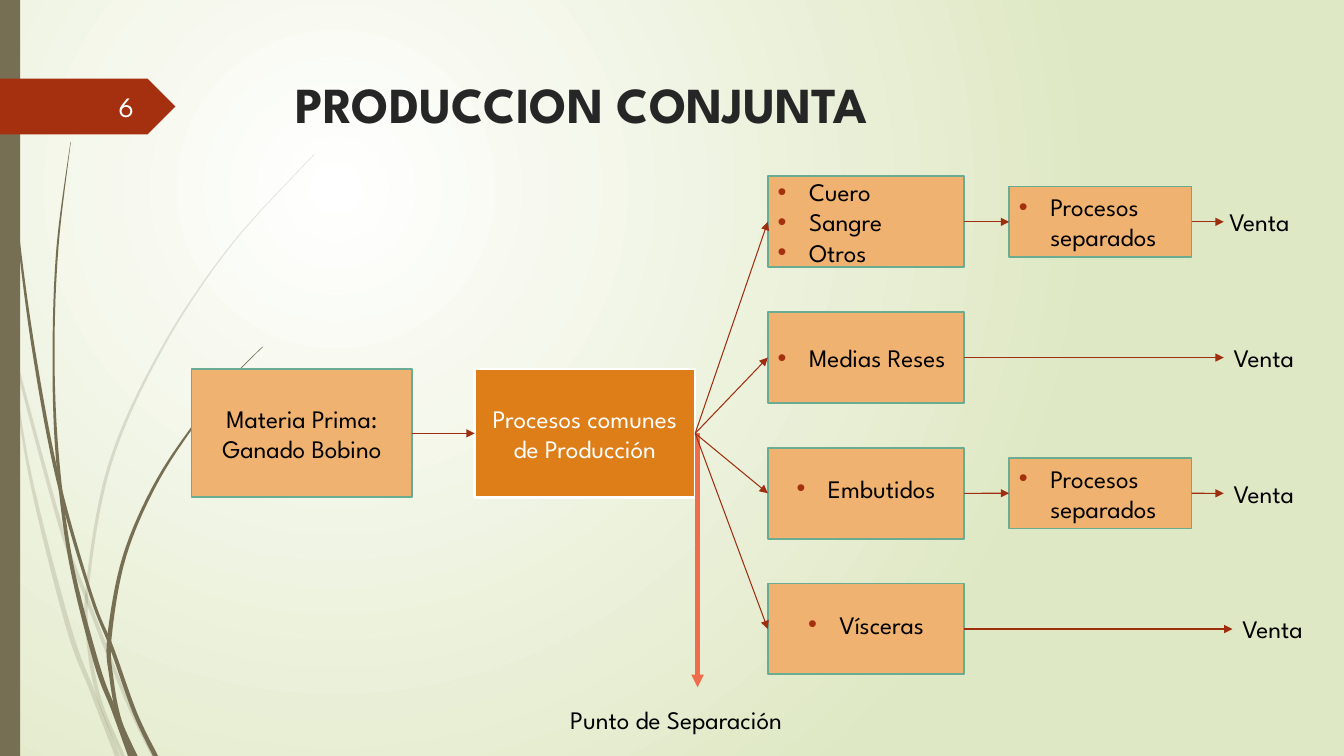
import pptx
import pptx.util
import pptx.dml.color
import pptx.enum.shapes
import pptx.enum.text
import pptx.oxml.ns
from lxml import etree

Cm, Pt = pptx.util.Cm, pptx.util.Pt
qn = pptx.oxml.ns.qn
SHAPE = pptx.enum.shapes.MSO_SHAPE
ALIGN = pptx.enum.text.PP_ALIGN
ANCHOR = pptx.enum.text.MSO_ANCHOR

FONT = "League Spartan"
OLIVE, RUST, ARROW, CORAL = "766F54", "A53010", "9E2E0F", "EE6E4B"
PEACH, ORANGE, TEAL = "F0B270", "DE7E18", "6AAC91"
TOP, LEFT, RIGHT = 0, 1, 3

# Each stem is a list of (x, y, width) in cm, from tip to root.
PALE_STEMS = [
    [(0.02, 7.37, .03), (0.35, 8.9, .07), (1.52, 13.23, .1), (2.18, 15.06, .1),
     (3.18, 17.6, .1), (3.88, 19.05, .13)],
    [(0.28, 8.89, .02), (0.75, 11.94, .08), (1.71, 15.75, .13), (2.35, 17.48, .12),
     (2.96, 19.05, .13)],
    [(7.92, 3.89, .02), (5.79, 6.22, .03), (4.04, 8.86, .06), (2.76, 11.73, .08),
     (2.2, 14.83, .08), (2.26, 16.41, .1), (2.54, 17.73, .1), (3.1, 19.05, .1)],
]
DARK_STEMS = [
    [(0.09, 0, .03), (0.18, 2.79, .03), (0.46, 5.92, .05), (0.88, 9.02, .08),
     (1.47, 12.12, .09), (2.3, 15.01, .08), (2.82, 16.33, .1), (3.4, 17.96, .11),
     (3.92, 19.05, .13)],
    [(1.78, 3.58, .01), (1.45, 6.22, .05), (1.35, 8.86, .05), (1.44, 11.43, .08),
     (1.78, 14.12, .1), (2.43, 16.71, .13), (2.88, 17.91, .13), (3.34, 19.05, .23)],
    [(6.62, 8.74, .02), (5.87, 9.49, .03), (5.19, 10.3, .05), (3.99, 12.07, .08),
     (3.14, 14.01, .09), (2.76, 16.05, .11), (2.81, 17.09, .1), (3.02, 18.16, .1),
     (3.42, 19.05, .1)],
]


def rgb(color):
    return pptx.dml.color.RGBColor.from_string(color)


def paint(sp, fill, line=None, width=1.25):
    sp.shadow.inherit = False
    sp.fill.solid()
    sp.fill.fore_color.rgb = rgb(fill)
    if line:
        sp.line.color.rgb = rgb(line)
        sp.line.width = Pt(width)
    else:
        sp.line.fill.background()


def add_bullet(p):
    pPr = p._p.get_or_add_pPr()
    pPr.set("marL", str(Cm(0.79)))
    pPr.set("indent", str(-Cm(0.79)))
    color = etree.SubElement(pPr, qn("a:buClr"))
    etree.SubElement(color, qn("a:srgbClr"), val=RUST)
    etree.SubElement(pPr, qn("a:buFont"), typeface="Arial")
    etree.SubElement(pPr, qn("a:buChar"), char="•")


def write(sp, lines, size=18, color="000000", bold=False, align=ALIGN.LEFT,
          anchor=ANCHOR.TOP, bullets=False):
    tf = sp.text_frame
    tf.word_wrap = True
    tf.vertical_anchor = anchor
    for i, line in enumerate(lines):
        p = tf.add_paragraph() if i else tf.paragraphs[0]
        p.alignment = align
        if bullets:
            add_bullet(p)
        r = p.add_run()
        r.text = line
        r.font.name, r.font.size, r.font.bold = FONT, Pt(size), bold
        r.font.color.rgb = rgb(color)


def label(s, x, y, w, h, text, **style):
    write(s.shapes.add_textbox(Cm(x), Cm(y), Cm(w), Cm(h)), [text], **style)


def block(s, x, mid, w, h, lines, fill=PEACH, line=TEAL, width=1.25, **style):
    """Rectangle centred vertically on mid."""
    sp = s.shapes.add_shape(SHAPE.RECTANGLE, Cm(x), Cm(mid - h / 2), Cm(w), Cm(h))
    paint(sp, fill, line, width)
    write(sp, lines, anchor=ANCHOR.MIDDLE, **style)
    return sp


def arrow(s, x1, y1, x2, y2, source=None, target=None, color=ARROW, width=0.75):
    """Arrow that joins the right side of source to the left side of target."""
    c = s.shapes.add_connector(pptx.enum.shapes.MSO_CONNECTOR.STRAIGHT,
                               Cm(x1), Cm(y1), Cm(x2), Cm(y2))
    if source is not None:
        c.begin_connect(source, RIGHT)
    if target is not None:
        c.end_connect(target, LEFT)
    c.line.color.rgb = rgb(color)
    c.line.width = Pt(width)
    etree.SubElement(c.line._get_or_add_ln(), qn("a:tailEnd"), type="triangle")
    etree.SubElement(c._element.spPr, qn("a:effectLst"))


def smooth(knots, steps=8):
    """Catmull-Rom curve through the knots."""
    ends = [knots[0]] + knots + [knots[-1]]
    curve = []
    for a, b, c, d in zip(ends, ends[1:], ends[2:], ends[3:]):
        for t in (k / steps for k in range(steps)):
            curve.append(tuple(
                q + t / 2 * (r - p + t * (2 * p - 5 * q + 4 * r - u
                                          + t * (3 * (q - r) + u - p)))
                for p, q, r, u in zip(a, b, c, d)))
    return curve + [knots[-1]]


def stem(s, knots, opacity):
    curve = smooth(knots)
    outline = [(Cm(x - w / 2), Cm(y)) for x, y, w in curve]
    outline += [(Cm(x + w / 2), Cm(y)) for x, y, w in reversed(curve)]
    fb = s.shapes.build_freeform(*outline[0])
    fb.add_line_segments(outline[1:], close=True)
    sp = fb.convert_to_shape()
    paint(sp, OLIVE)
    if opacity < 100:
        color = next(sp._element.spPr.iter(qn("a:srgbClr")))
        etree.SubElement(color, qn("a:alpha"), val=str(opacity * 1000))


def backdrop(s, height):
    fill = s.background.fill
    fill.gradient()
    for stop, color in zip(fill.gradient_stops, ("FFFFFF", "DFE8C4")):
        stop.color.rgb = rgb(color)
    lin = next(s.element.iter(qn("a:lin")))
    circle = etree.Element(qn("a:path"), path="circle")
    etree.SubElement(circle, qn("a:fillToRect"), l="50000", t="50000",
                     r="100000", b="100000")
    lin.getparent().replace(lin, circle)
    for stems, opacity in ((PALE_STEMS, 20), (DARK_STEMS, 100)):
        for knots in stems:
            stem(s, knots, opacity)
    bar = s.shapes.add_shape(SHAPE.RECTANGLE, 0, 0, Cm(0.51), Cm(height))
    paint(bar, OLIVE)


def header(s, x, y, w, h, title, number):
    tag = s.shapes.add_shape(SHAPE.PENTAGON, Cm(x), Cm(y), Cm(4.42), Cm(h))
    paint(tag, RUST)
    label(s, x + 7.21, y - 0.25, w - 7.21, 1.78, title, size=36, color="262626", bold=True)
    label(s, x + 1.47, y + 0.2, 2.16, 1.02, number, size=20, color="FEFFFF",
          align=ALIGN.RIGHT, anchor=ANCHOR.MIDDLE)


def joint_process(s, x, mid):
    """Raw material, common process and split-off point; returns the process."""
    w, h, split = 5.56, 3.23, x + 12.75
    raw = block(s, x, mid, w, h, ["Materia Prima:", "Ganado Bobino"], align=ALIGN.CENTER)
    common = block(s, x + 7.13, mid, w, h, ["Procesos comunes de Producción"], ORANGE,
                   "FFFFFF", 1.75, color="FFFFFF", align=ALIGN.CENTER)
    arrow(s, x + w, mid, x + 7.13, mid, raw, common)
    arrow(s, split, mid, split, mid + 6.4, color=CORAL, width=3)
    label(s, split - 3.46, mid + 6.71, 7.34, 1.02, "Punto de Separación")
    return common


def product_row(s, x, mid, common, names, align, raised, separate, sale_x, tip_x):
    """One product with its optional separate process and its sale."""
    last = block(s, x, mid, 4.95, 2.29, names, align=align, bullets=True)
    if raised:
        last.text_frame.margin_bottom = Cm(0.38)
    arrow(s, x, mid, x, mid, common, last)
    if separate:
        product = last
        last = block(s, x + 6.08, mid, 4.6, 1.78, ["Procesos separados"],
                     align=ALIGN.JUSTIFY, bullets=True)
        arrow(s, x, mid, x, mid, product, last)
    arrow(s, x, mid, tip_x, mid, last)
    label(s, sale_x, mid - 0.51, 2.44, 1.02, "Venta")


def main():
    prs = pptx.Presentation()
    prs.slide_width, prs.slide_height = Cm(33.87), Cm(19.05)
    s = prs.slides.add_slide(prs.slide_layouts[6])
    backdrop(s, 19.05)
    header(s, 0, 1.98, 31.98, 1.41, "PRODUCCION CONJUNTA", "6")
    common = joint_process(s, 4.83, 10.92)
    rows = [
        (["Cuero", "Sangre", "Otros"], ALIGN.JUSTIFY, False, True, 30.73, 30.84),
        (["Medias Reses"], ALIGN.JUSTIFY, False, False, 30.84, 30.84),
        (["Embutidos"], ALIGN.CENTER, True, True, 30.84, 30.84),
        (["Vísceras"], ALIGN.CENTER, True, False, 31.06, 31.06),
    ]
    for i, row in enumerate(rows):
        product_row(s, 19.35, 5.59 + i * 3.42, common, *row)
    prs.save("out.pptx")


if __name__ == "__main__":
    main()
